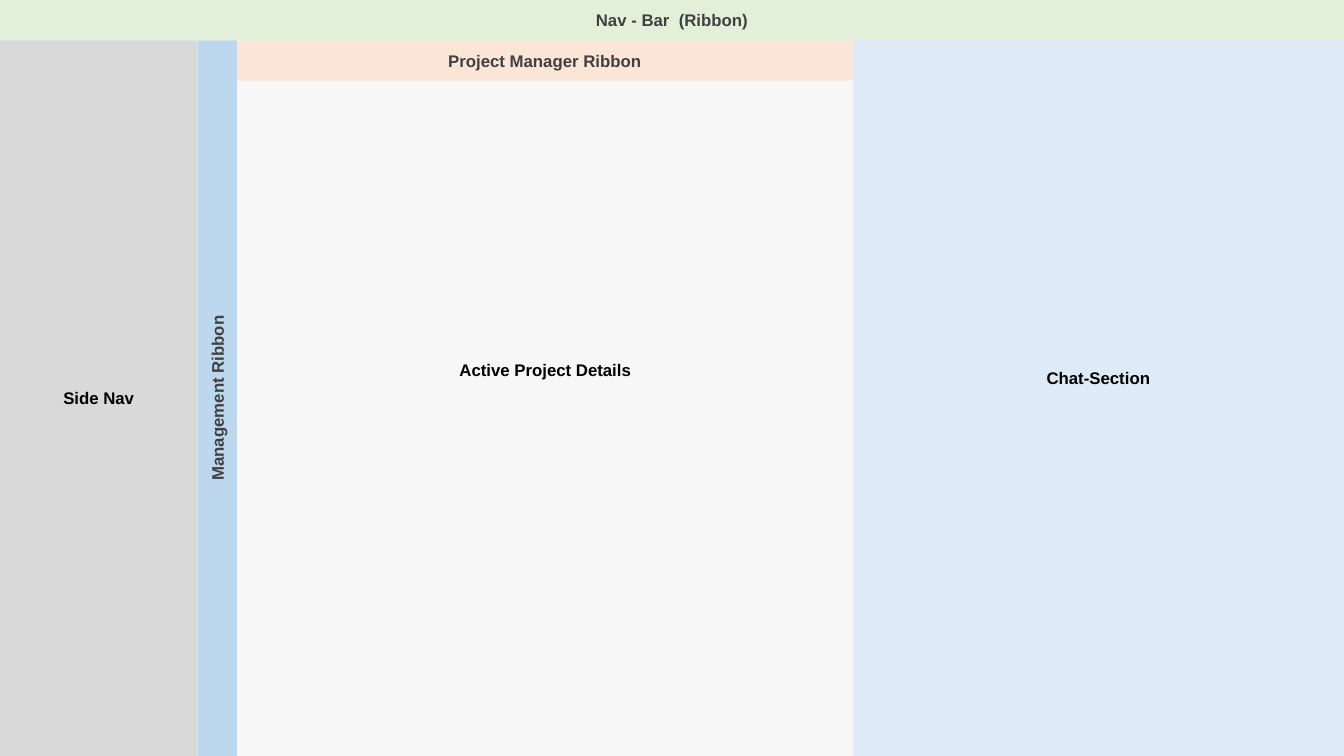
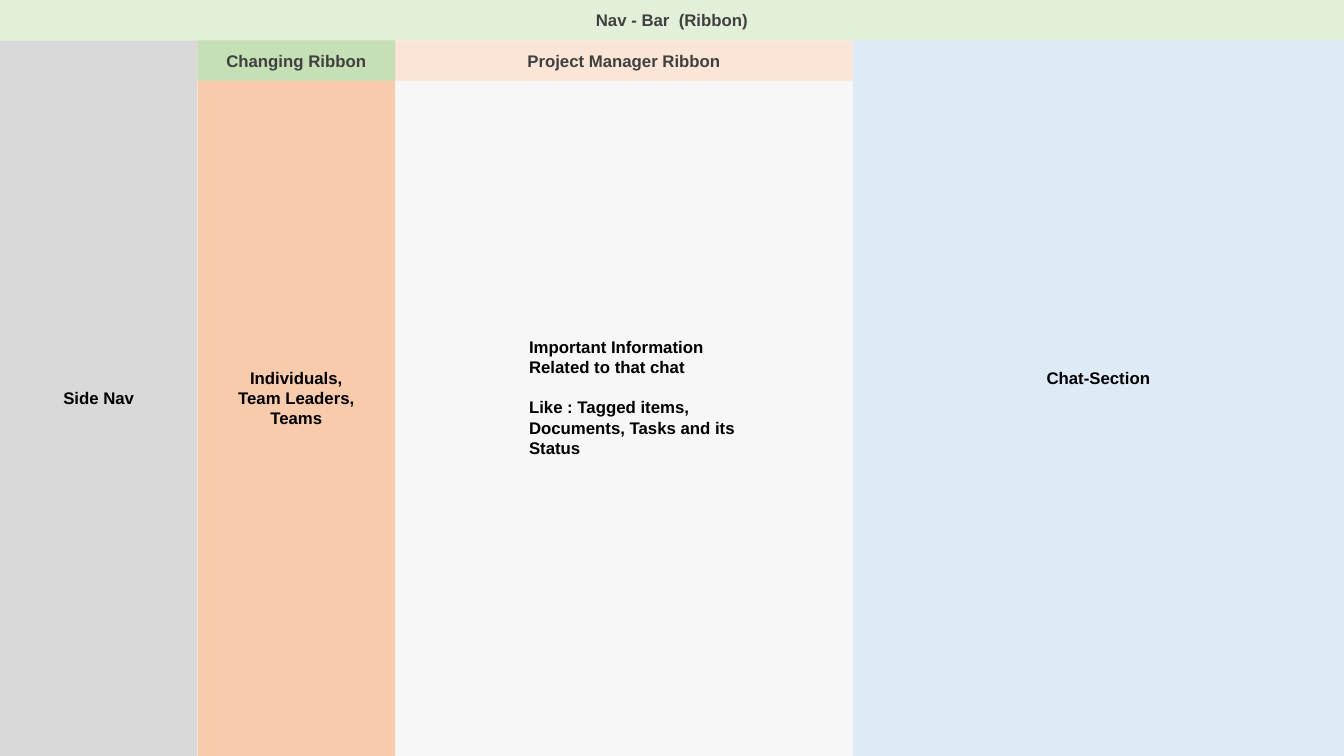
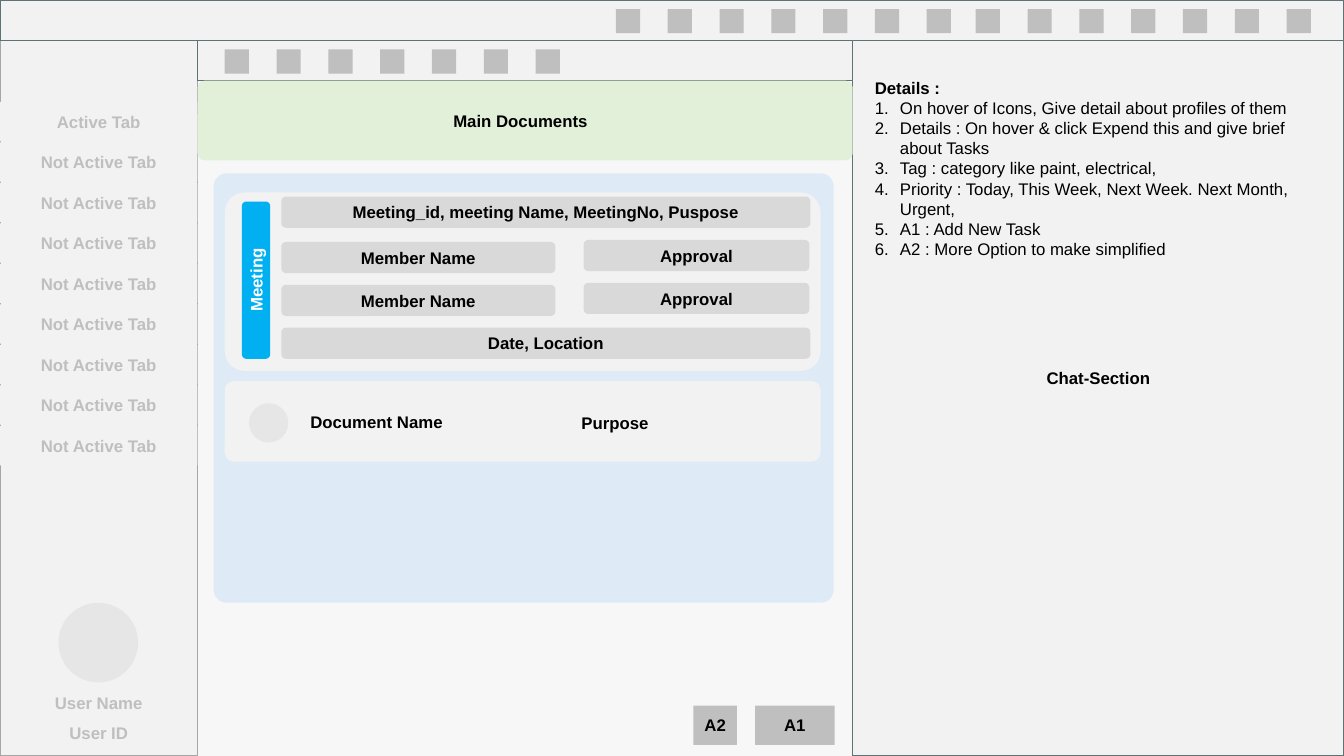
from dataclasses import dataclass

from pptx import Presentation, util as u
from pptx.dml.color import RGBColor
from pptx.enum import shapes, text
from pptx.oxml.ns import qn
from lxml import etree

CELL = 0.1  # inches per grid column and row
COLS, ROWS = 133.33, 75
BAR = 4  # rows of a ribbon
SIDE = 19.6  # columns of the side navigation
CHAT = 84.6  # column where the chat section starts
RECT = shapes.MSO_SHAPE.RECTANGLE
ROUND = shapes.MSO_SHAPE.ROUNDED_RECTANGLE
OVAL = shapes.MSO_SHAPE.OVAL


@dataclass(frozen=True)
class Theme:
    font: str = "Arial"
    size: int = 12
    line: int = 1
    page: str = "F7F7F7"
    ink: str = "000000"
    ribbon_ink: str = "404040"
    faint_ink: str = "BFBFBF"
    white: str = "FFFFFF"
    panel: str = "F2F2F2"
    grey: str = "D9D9D9"
    icon: str = "BFBFBF"
    avatar: str = "E7E6E6"
    pale_green: str = "E2F0D9"
    green: str = "C5E0B4"
    pale_orange: str = "FBE5D6"
    orange: str = "F8CBAD"
    pale_blue: str = "DEEBF7"
    blue: str = "BDD7EE"
    accent: str = "00B0F0"
    border: str = "5D7373"
    soft_border: str = "A6A6A6"


T = Theme()


def rgb(value):
    return RGBColor.from_string(value)


def grid(*cells):
    return [u.Inches(round(c * CELL, 3)) for c in cells]


def number(p):
    """Turn a paragraph into an item of a numbered list."""
    pPr = p._p.get_or_add_pPr()
    indent = u.Inches(0.25)
    pPr.set("marL", str(indent))
    pPr.set("indent", str(-indent))
    etree.SubElement(pPr, qn("a:buAutoNum"), type="arabicPeriod")


def write(tf, lines, color=T.ink, bold=True, align=None, spacing=None, gap=0):
    """Write one paragraph per line; gap is the space between them in points."""
    for i, line in enumerate(lines):
        p = tf.add_paragraph() if i else tf.paragraphs[0]
        p.alignment = align
        if spacing:
            p.line_spacing = spacing
        if gap and i:
            p.space_before = u.Pt(gap)
        r = p.add_run()
        r.text = line
        r.font.name, r.font.size, r.font.bold = T.font, u.Pt(T.size), bold
        r.font.color.rgb = rgb(color)


class Deck:
    def __init__(self):
        self.prs = Presentation()
        self.prs.slide_width, self.prs.slide_height = grid(COLS, ROWS)
        fill = self.prs.slide_master.background.fill
        fill.solid()
        fill.fore_color.rgb = rgb(T.page)
        self.s = None

    def new_slide(self):
        self.s = self.prs.slides.add_slide(self.prs.slide_layouts[6])

    def block(self, x, y, w, h, fill, *lines, kind=RECT, line=None, corner=0,
              upright=False, **fmt):
        """Filled shape with centred text; upright text reads bottom to top."""
        sp = self.s.shapes.add_shape(kind, *grid(x, y, w, h))
        sp.shadow.inherit = False
        sp.fill.solid()
        sp.fill.fore_color.rgb = rgb(fill)
        if line:
            sp.line.color.rgb = rgb(line)
            sp.line.width = u.Pt(T.line)
        else:
            sp.line.fill.background()
        if kind == ROUND:
            sp.adjustments[0] = corner
        tf = sp.text_frame
        tf.vertical_anchor = text.MSO_ANCHOR.MIDDLE
        if upright:
            tf._txBody.bodyPr.set("vert", "vert270")
        write(tf, lines, align=text.PP_ALIGN.CENTER, **fmt)
        return sp

    def ribbon(self, x, w, fill, label):
        self.block(x, BAR, w, BAR, fill, label, color=T.ribbon_ink)

    def note(self, x, y, w, h, *lines, wrap=True, **fmt):
        tf = self.s.shapes.add_textbox(*grid(x, y, w, h)).text_frame
        tf.word_wrap = wrap
        tf.auto_size = text.MSO_AUTO_SIZE.SHAPE_TO_FIT_TEXT
        write(tf, lines, **fmt)
        return tf

    def icons(self, x, y, count=7, pitch=5.14, size=2.4):
        for i in range(count):
            self.block(x + i * pitch, y, size, size, T.icon)

    def frame(self, wire=False):
        """Side navigation, chat section and top bar; wire draws outlines."""
        side, chat, bar = [T.panel] * 3 if wire else [T.grey, T.pale_blue, T.pale_green]
        border = T.border if wire else None
        self.block(0, BAR, SIDE, ROWS - BAR, side, *([] if wire else ["Side Nav"]),
                   line=T.soft_border if wire else None)
        self.block(CHAT, 0, COLS - CHAT, ROWS, chat, "Chat-Section", line=border)
        self.block(0, 0, COLS, BAR, bar, *([] if wire else ["Nav - Bar  (Ribbon)"]),
                   line=border, color=T.ribbon_ink)


def project_slide(d):
    d.new_slide()
    d.frame()
    strip = 3.9
    left = SIDE + strip
    d.note(44.6, 35.2, 19.3, 3, "Active Project Details", wrap=False)
    d.ribbon(left, CHAT - left, T.pale_orange, "Project Manager Ribbon")
    d.block(SIDE, BAR, strip, ROWS - BAR, T.blue, "Management Ribbon",
            upright=True, color=T.ribbon_ink)


def chat_slide(d):
    d.new_slide()
    d.frame()
    d.note(51.5, 32.9, 24.5, 13.1, "Important Information Related to that chat",
           "Like : Tagged items, Documents, Tasks and its Status", gap=14.4)
    d.ribbon(2 * SIDE, CHAT - 2 * SIDE, T.pale_orange, "Project Manager Ribbon")
    d.block(SIDE, BAR, SIDE, ROWS - BAR, T.orange,
            "Individuals,", "Team Leaders,", "Teams")
    d.ribbon(SIDE, SIDE, T.green, "Changing Ribbon")


def side_tabs(d):
    for i, label in enumerate(["Active Tab"] + ["Not Active Tab"] * 8):
        d.block(0, 10.1 + i * 4.02, SIDE, 3.9, T.panel, label, color=T.faint_ink)
    d.block(0.7, 58.6, 18.2, 15.5, T.panel)
    d.block(5.8, 59.8, 7.9, 7.9, T.avatar, kind=OVAL)
    d.note(2.1, 67.2, 15.4, 6.7, "User Name", "User ID", color=T.faint_ink,
           align=text.PP_ALIGN.CENTER, spacing=1.5)


def meeting_card(d):
    def field(x, y, w, label):
        d.block(x, y, w, 3.1, T.grey, label, kind=ROUND, corner=0.15)

    d.block(22.3, 19.1, 59.1, 17.7, T.panel, kind=ROUND, corner=0.11)
    left, full = 27.9, 52.5
    field(left, 19.5, full, "Meeting_id, meeting Name, MeetingNo, Puspose")
    field(left, 32.5, full, "Date, Location")
    for i in range(2):
        field(left, 24 + i * 4.25, 27.2, "Member Name")
        field(57.9, 23.8 + i * 4.25, 22.4, "Approval")
    d.block(24, 20, 2.8, 15.6, T.accent, "Meeting", kind=ROUND, corner=0.15,
            upright=True, color=T.white)


def document_card(d):
    d.block(22.3, 37.8, 59.1, 8, T.panel, kind=ROUND, corner=0.11)
    d.block(24.7, 40, 3.9, 3.9, T.avatar, kind=OVAL)
    d.note(29.8, 40.4, 15.7, 3, "Document Name", wrap=False)
    d.note(56.7, 40.5, 8.7, 3, "Purpose", wrap=False)


def documents_slide(d):
    d.new_slide()
    d.frame(wire=True)
    details = d.note(
        85.8, 7.2, 46.1, 21.2, "Details :",
        "On hover of Icons, Give detail about profiles of them",
        "Details : On hover & click Expend this and give brief about Tasks",
        "Tag : category like paint, electrical,",
        "Priority : Today, This Week, Next Week. Next Month, Urgent,",
        "A1 : Add New Task",
        "A2 : More Option to make simplified")
    for p in details.paragraphs[1:]:
        number(p)
        p.runs[0].font.bold = False
    middle = CHAT - SIDE
    d.block(SIDE, BAR, middle, BAR, T.panel, line=T.border)
    side_tabs(d)
    for x, y in ((22.3, 4.9), (61.1, 0.9), (96.8, 0.9)):
        d.icons(x, y)
    heading = d.block(SIDE, 2 * BAR, middle, 7.9, T.pale_green, "Main Documents",
                      kind=ROUND, corner=0.09)
    heading.text_frame.margin_right = u.Inches(0.19)
    d.block(21.2, 17.2, 61.5, 42.6, T.pale_blue, kind=ROUND, corner=0.03)
    meeting_card(d)
    document_card(d)
    for x, w, label in ((74.9, 7.9, "A1"), (68.8, 4.3, "A2")):
        d.block(x, 70, w, 3.9, T.icon, label)


def main():
    d = Deck()
    for build in (project_slide, chat_slide, documents_slide):
        build(d)
    d.prs.save("out.pptx")


if __name__ == "__main__":
    main()
